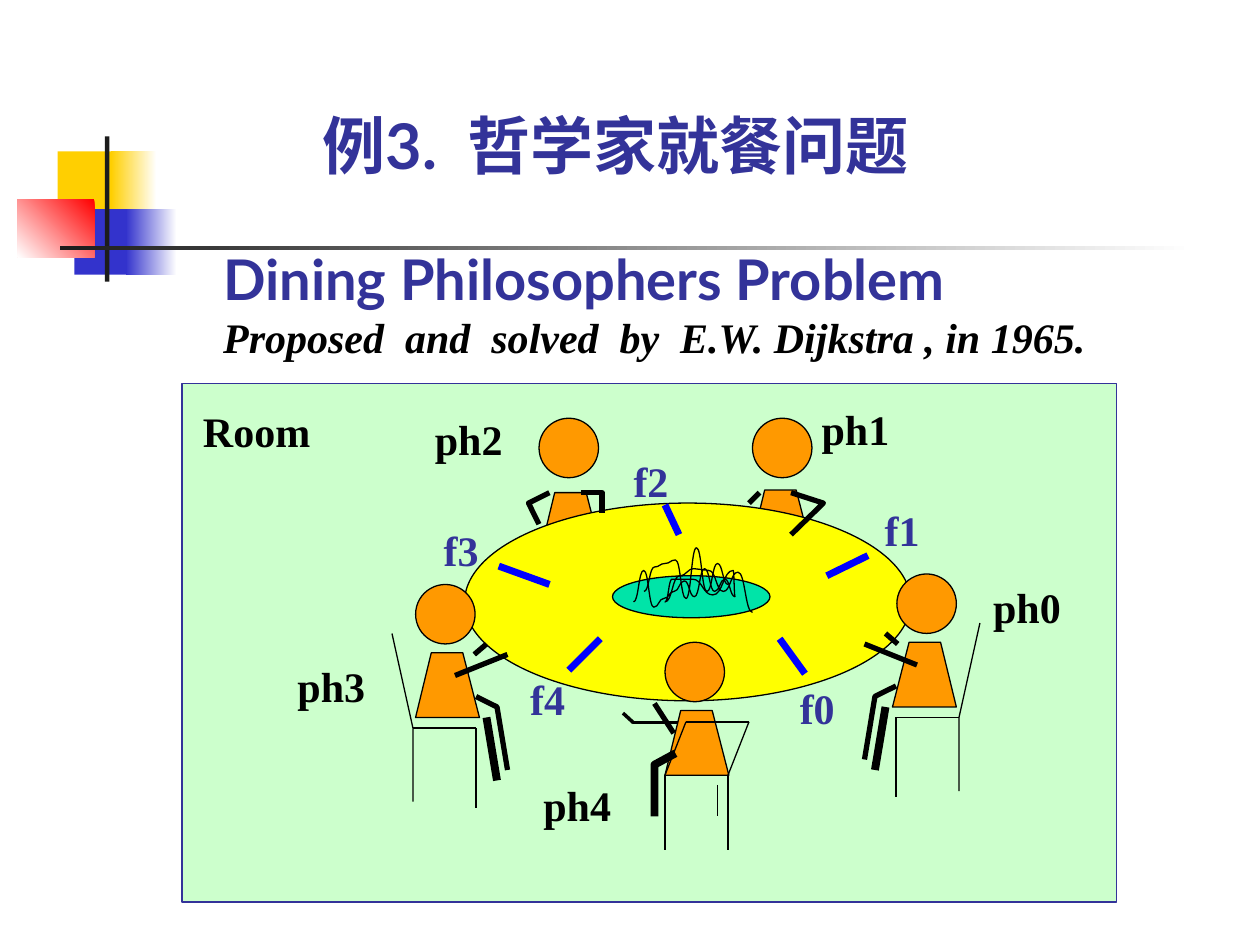
from lxml.etree import SubElement
from pptx import Presentation
from pptx.dml.color import RGBColor
from pptx.enum.shapes import MSO_CONNECTOR, MSO_SHAPE
from pptx.enum.text import MSO_ANCHOR
from pptx.oxml.ns import qn
from pptx.util import Pt

rgb = RGBColor.from_string
RECT, OVAL = MSO_SHAPE.RECTANGLE, MSO_SHAPE.OVAL
BLACK, WHITE, NAVY, ORANGE = "000000", "FFFFFF", "333399", "FF9900"
SERIF = "Times New Roman"
HEAD = 34
TORSO = [(0, 37), (36.5, 37), (27, 0), (9, 0)]

prs = Presentation()
prs.slide_width, prs.slide_height = Pt(720), Pt(540)
shapes = prs.slides.add_slide(prs.slide_layouts[6]).shapes


def draw(geo, kind=None, fill=None, line=BLACK, w=0.75):
    """Draw a preset in the box geo, or a path through the points geo.

    A path with a fill is closed; a pair of fill colours is a gradient.
    """
    straight = not kind and len(geo) == 2
    if kind:
        s = shapes.add_shape(kind, *map(Pt, geo))
    elif straight:
        s = shapes.add_connector(MSO_CONNECTOR.STRAIGHT, *(Pt(v) for pt in geo for v in pt))
    else:
        pts = [(Pt(x), Pt(y)) for x, y in geo]
        builder = shapes.build_freeform(*pts[0])
        builder.add_line_segments(pts[1:], close=bool(fill))
        s = builder.convert_to_shape()
    if line:
        s.line.color.rgb = rgb(line)
        s.line.width = Pt(w)
    else:
        s.line.fill.background()
    if straight:
        SubElement(s.element.spPr, qn("a:effectLst"))
        return s
    s.shadow.inherit = False
    if isinstance(fill, tuple):
        s.fill.gradient()
        for stop, color in zip(s.fill.gradient_stops, fill):
            stop.color.rgb = rgb(color)
    elif fill:
        s.fill.solid()
        s.fill.fore_color.rgb = rgb(fill)
    else:
        s.fill.background()
    return s


def text(box, *lines, size=24, font=SERIF, color=BLACK, anchor=MSO_ANCHOR.TOP):
    """Add a bold text box; each line is a string or (string, overrides)."""
    tf = shapes.add_textbox(*map(Pt, box)).text_frame
    tf.word_wrap = True
    tf.vertical_anchor = anchor
    tf.margin_left = tf.margin_right = tf.margin_top = tf.margin_bottom = 0
    for i, line in enumerate(lines):
        words, own = line if isinstance(line, tuple) else (line, {})
        p = tf.add_paragraph() if i else tf.paragraphs[0]
        r = p.add_run()
        r.text = words
        r.font.name = own.get("font", font)
        r.font.size = Pt(own.get("size", size))
        r.font.color.rgb = rgb(own.get("color", color))
        r.font.bold = True
        r.font.italic = own.get("italic", False)


# Corner ornament
for box, fill, angle in [
    ((33, 86.5, 35, 37.5), "FFCF01", None),
    ((63.5, 86.5, 26, 37.5), (WHITE, "FFCF01"), 180),
    ((42.5, 119.5, 33, 37.5), "3333CC", None),
    ((72, 119.5, 29, 37.5), (WHITE, "3333CC"), 180),
    ((10, 114, 44, 33), ("FF0000", WHITE), 225),
    ((60, 78, 2.5, 83), "1C1C1C", None),
    ((34.5, 140.5, 648, 2.5), (WHITE, "1C1C1C"), 180),
]:
    s = draw(box, RECT, fill, line=None)
    if angle:
        s.fill.gradient_angle = angle

# Headings
text((184.5, 17.5, 345.5, 86.5), "例3.  哲学家就餐问题",
     size=36, font="Lato", color=NAVY, anchor=MSO_ANCHOR.BOTTOM)
text((127.5, 139.5, 510.5, 67),
     ("Dining Philosophers Problem", {"size": 32, "font": "Lato", "color": NAVY}),
     ("Proposed  and  solved  by  E.W. Dijkstra , in 1965.", {"italic": True}))

# Room, rear torsos and table
draw((104, 219, 534, 296.5), RECT, "CCFFCC", NAVY)
for left, top in [(308, 281.5), (428, 280)]:
    draw([(left + x, top + y) for x, y in TORSO], fill=ORANGE)
draw((265.5, 287.5, 255, 113), OVAL, "FFFF00")

# Side philosophers: ph3, then ph0 as its mirror image, a little higher
for mirrored in (False, True):
    rise = 6 if mirrored else 0
    for pts, w, fill in [
        ([(224, 362), (236, 416), (236, 458)], 0.75, None),
        ([(272, 416), (272, 461.5)], 0.75, None),
        ([(236, 416), (272, 416)], 0.75, None),
        ([(237.5 + x, 373 + y) for x, y in TORSO], 0.75, ORANGE),
        ([(278, 410), (284, 446)], 4.5, None),
        ([(272, 398), (284, 404), (290, 440)], 3, None),
        ([(260, 386), (290, 374)], 3, None),
        ([(271, 374), (278, 368)], 3, None),
    ]:
        draw([(784 - x if mirrored else x, y - rise) for x, y in pts], fill=fill, w=w)
    draw((784 - 237.5 - HEAD if mirrored else 237.5, 334 - rise, HEAD, HEAD), OVAL, ORANGE)

# Front philosopher ph4, seen through the chair
draw([(362, 413), (398, 413)], w=2)
draw([(356, 407.5), (362, 413)], w=2)
draw([(380 + x, 406 + y) for x, y in TORSO], fill=ORANGE)
for x in (380, 416):
    draw([(x, 443), (x, 485.5)])
    draw([(x, 443), (x + 12, 412.5)])
draw([(392, 412.5), (428, 412.5)])
draw((380, 367, HEAD, HEAD), OVAL, ORANGE)
for x, top in [(374, 443), (410, 448.5)]:
    draw([(x, top), (x, 466.5)])
draw([(374, 402), (385, 419)], w=3)
draw([(386, 430.5), (374, 437), (374, 466.5)], w=4.5)

# Heads and arms of ph1 and ph2
for left, arms in [
    (430, [[(452, 281.5), (470.5, 287.5), (452, 305.5)], [(434, 281.5), (428, 287.5)]]),
    (308, [[(314, 281.5), (302, 287.5), (308, 299.5)],
           [(332, 281.5), (344, 281.5), (344, 293)]]),
]:
    draw((left, 239, HEAD, HEAD), OVAL, ORANGE)
    for arm in arms:
        draw(arm, w=3)

# Plate and noodles: evenly spaced crests and dips, joined by level-ended curves
draw((350, 329, 90, 24), OVAL, "00E4A8")
for strands in [
    [(368, 416, [338, 324, 322, 320, 342, 313, 338, 322, 334])],
    [(362, 420, [344, 326, 347, 342, 338, 332, 341, 325, 338, 331, 341]),
     (419, 384, [326, 340, 331, 331]),
     (380, 430, [344, 329, 325, 326, 338, 327, 350])],
]:
    knots = [(start + (end - start) * i / (len(heights) - 1), y)
             for start, end, heights in strands for i, y in enumerate(heights)]
    pts = knots[:1]
    for (x0, y0), (x1, y1) in zip(knots, knots[1:]):
        middle = (x0 + x1) / 2
        pts += [(middle, y0), (middle, y1), (x1, y1)]
    s = draw(pts)
    steps = s.element.findall(".//" + qn("a:lnTo"))
    for curve, *rest in zip(steps[::3], steps[1::3], steps[2::3]):
        curve.tag = qn("a:cubicBezTo")
        for step in rest:
            curve.append(step[0])
            step.getparent().remove(step)

# Forks
for fork in [
    [(343, 365), (325, 383)],
    [(445.5, 365), (460, 385)],
    [(496, 317.5), (472.5, 329)],
    [(380, 288.5), (388, 305.5)],
    [(285, 323.5), (314, 334)],
]:
    draw(fork, line="0000FF", w=4)

# Labels
for label, left, top in [
    ("Room", 116, 232),
    ("ph0", 567.5, 332.5),
    ("ph4", 310.5, 445.5),
    ("ph3", 170, 377.5),
    ("ph2", 248.5, 236),
    ("ph1", 469.5, 230.5),
    ("f0", 457, 390),
    ("f4", 303, 385),
    ("f3", 253.5, 299.5),
    ("f2", 362, 260),
    ("f1", 505.5, 288),
]:
    text((left, top, 16 * len(label), 29), label,
         color=NAVY if label.startswith("f") else BLACK)

prs.save("out.pptx")
